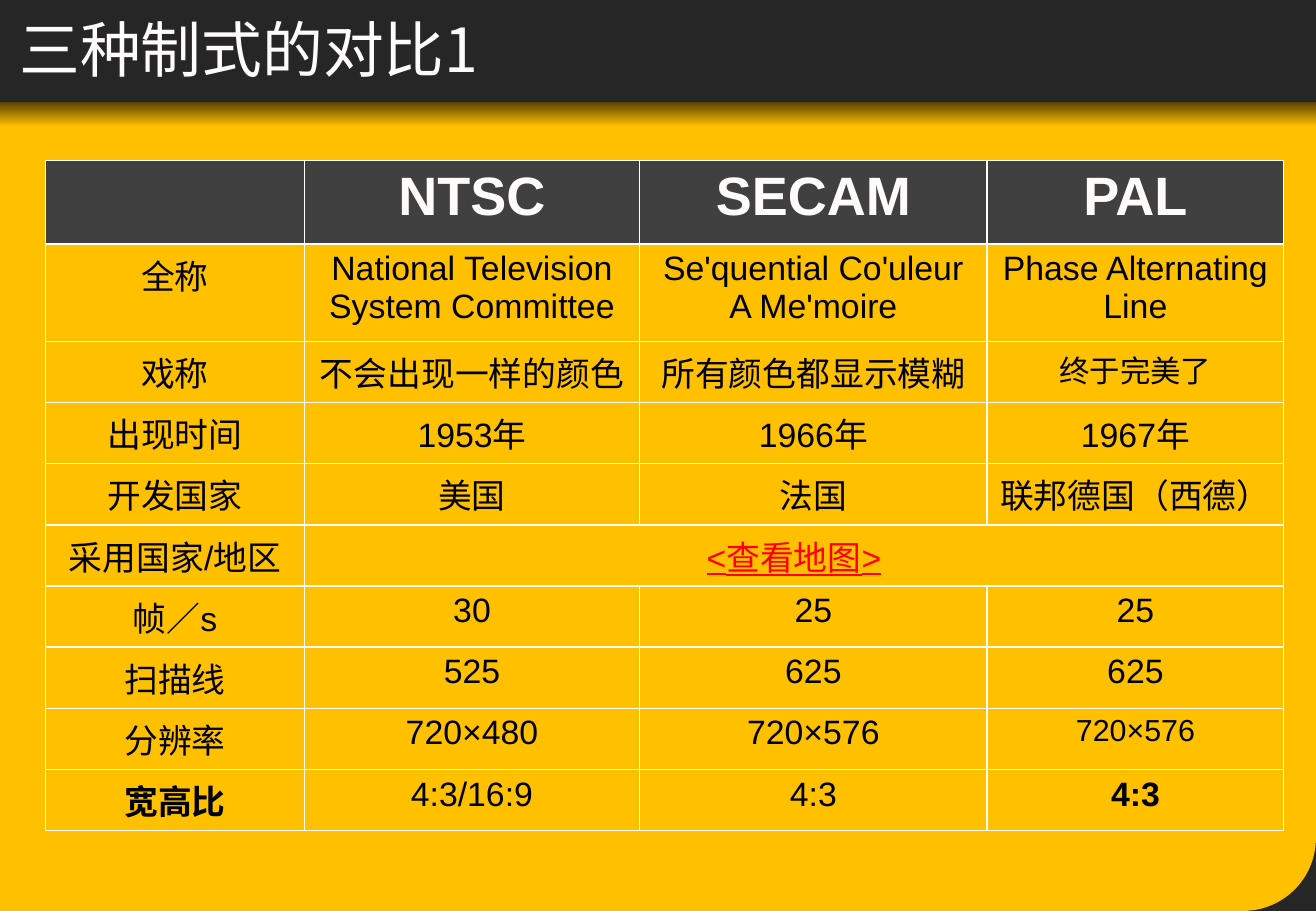
from lxml import etree
from pptx import Presentation
from pptx import util as u
from pptx.dml.color import RGBColor
from pptx.enum import shapes, text
from pptx.oxml import ns

# Slide size, and a grid of 100 columns by 100 rows
WIDTH, HEIGHT = u.Inches(10.83), u.Inches(7.5)
HEADER_ROWS, SHADOW_ROWS = 11.2, 2.7

DARK = RGBColor(0x26, 0x26, 0x26)
GREY = RGBColor(0x40, 0x40, 0x40)
AMBER = RGBColor(0xFF, 0xC0, 0x00)
BROWN = RGBColor(0x58, 0x42, 0x00)
WHITE = RGBColor(0xFF, 0xFB, 0xFB)
BORDER = RGBColor(0xFF, 0xFF, 0xF7)
BLACK = RGBColor(0x00, 0x00, 0x00)
RED = RGBColor(0xFF, 0x00, 0x00)

LATIN, CHINESE = "Arial", "Noto Sans CJK SC"

# Table content and its grid
COLUMNS = [19.67, 25.48, 26.41, 22.53]
ROWS = [9.2, 10.67] + [6.67] * 8
CONTENT = [
    ["", "NTSC", "SECAM", "PAL"],
    ["全称", "National Television System Committee",
     "Se'quential Co'uleur A Me'moire", "Phase Alternating Line"],
    ["戏称", "不会出现一样的颜色", "所有颜色都显示模糊", "终于完美了"],
    ["出现时间", "1953年", "1966年", "1967年"],
    ["开发国家", "美国", "法国", "联邦德国（西德）"],
    ["采用国家/地区", "<查看地图>", "", ""],
    ["帧／s", "30", "25", "25"],
    ["扫描线", "525", "625", "625"],
    ["分辨率", "720×480", "720×576", "720×576"],
    ["宽高比", "4:3/16:9", "4:3", "4:3"],
]
MAP_ROW = 5
HEADING = {"size": u.Pt(32), "bold": True, "color": WHITE}
BODY = {"size": u.Pt(20), "bold": False, "color": BLACK}
SPECIAL = {
    (2, 3): {"size": u.Pt(18)},
    (MAP_ROW, 1): {"color": RED, "underline": True},
    (8, 3): {"size": u.Pt(18)},
    (9, 0): {"bold": True},
    (9, 3): {"bold": True},
}


def across(columns):
    return round(WIDTH * columns / 100)


def down(rows):
    return round(HEIGHT * rows / 100)


def box(left, top, width, height):
    return across(left), down(top), across(width), down(height)


def add_panel(slide, kind, place, color):
    shape = slide.shapes.add_shape(kind, *box(*place))
    shape.shadow.inherit = False
    shape.fill.solid()
    shape.fill.fore_color.rgb = color
    shape.line.fill.background()
    return shape


def write(paragraph, words, latin, values):
    run = paragraph.add_run()
    run.text = words
    run.font.name = latin
    for name, value in values.items():
        if name == "color":
            run.font.color.rgb = value
        else:
            setattr(run.font, name, value)
    east_asian = etree.SubElement(run.font._element, ns.qn("a:ea"))
    east_asian.set("typeface", CHINESE)


def add_borders(cell):
    properties = cell._tc.get_or_add_tcPr()
    for side in ("lnL", "lnR", "lnT", "lnB"):
        line = etree.SubElement(properties, ns.qn("a:" + side), w=str(u.Pt(1)))
        fill = etree.SubElement(line, ns.qn("a:solidFill"))
        etree.SubElement(fill, ns.qn("a:srgbClr"), val=str(BORDER))


def add_background(slide):
    slide.background.fill.solid()
    slide.background.fill.fore_color.rgb = WHITE
    below = (0, HEADER_ROWS, 100, 100 - HEADER_ROWS)
    kinds = shapes.MSO_SHAPE
    add_panel(slide, kinds.RECTANGLE, below, DARK)

    # Amber page, rounded at its bottom right corner
    page = add_panel(slide, kinds.ROUND_1_RECTANGLE, below, AMBER)
    page.adjustments[0] = 0.09
    page._element.spPr.xfrm.set("flipV", "1")

    # Header bar with a soft edge beneath it
    add_panel(slide, kinds.RECTANGLE, (0, 0, 100, HEADER_ROWS), DARK)
    edge = add_panel(slide, kinds.RECTANGLE,
                     (0, HEADER_ROWS, 100, SHADOW_ROWS), AMBER)
    edge.fill.gradient()
    edge.fill.gradient_angle = 270
    for stop, color in zip(edge.fill.gradient_stops, (BROWN, AMBER)):
        stop.color.rgb = color


def add_title(slide, words):
    title = slide.shapes.title
    slide.shapes._spTree.append(title._element)
    title.left, title.top, title.width, title.height = box(0.55, -1.47, 90, 13.47)
    frame = title.text_frame
    frame.auto_size = text.MSO_AUTO_SIZE.NONE
    frame.vertical_anchor = text.MSO_ANCHOR.MIDDLE
    frame.paragraphs[0].alignment = text.PP_ALIGN.LEFT
    write(frame.paragraphs[0], words, CHINESE,
          {"size": u.Pt(36), "color": WHITE})


def add_comparison(slide):
    place = box(3.46, 17.6, sum(COLUMNS), sum(ROWS))
    table = slide.shapes.add_table(len(ROWS), len(COLUMNS), *place).table
    for column, width in zip(table.columns, COLUMNS):
        column.width = across(width)
    for row, height in zip(table.rows, ROWS):
        row.height = down(height)
    table.cell(MAP_ROW, 1).merge(table.cell(MAP_ROW, 3))

    for i, line in enumerate(CONTENT):
        for j, words in enumerate(line):
            cell = table.cell(i, j)
            add_borders(cell)
            cell.fill.solid()
            cell.fill.fore_color.rgb = AMBER if i else GREY
            if words:
                paragraph = cell.text_frame.paragraphs[0]
                paragraph.alignment = text.PP_ALIGN.CENTER
                values = BODY if i else HEADING
                write(paragraph, words, LATIN, values | SPECIAL.get((i, j), {}))


def main():
    presentation = Presentation()
    presentation.slide_width, presentation.slide_height = WIDTH, HEIGHT
    slide = presentation.slides.add_slide(presentation.slide_layouts[5])
    add_background(slide)
    add_title(slide, "三种制式的对比1")
    add_comparison(slide)
    presentation.save("out.pptx")


if __name__ == "__main__":
    main()
